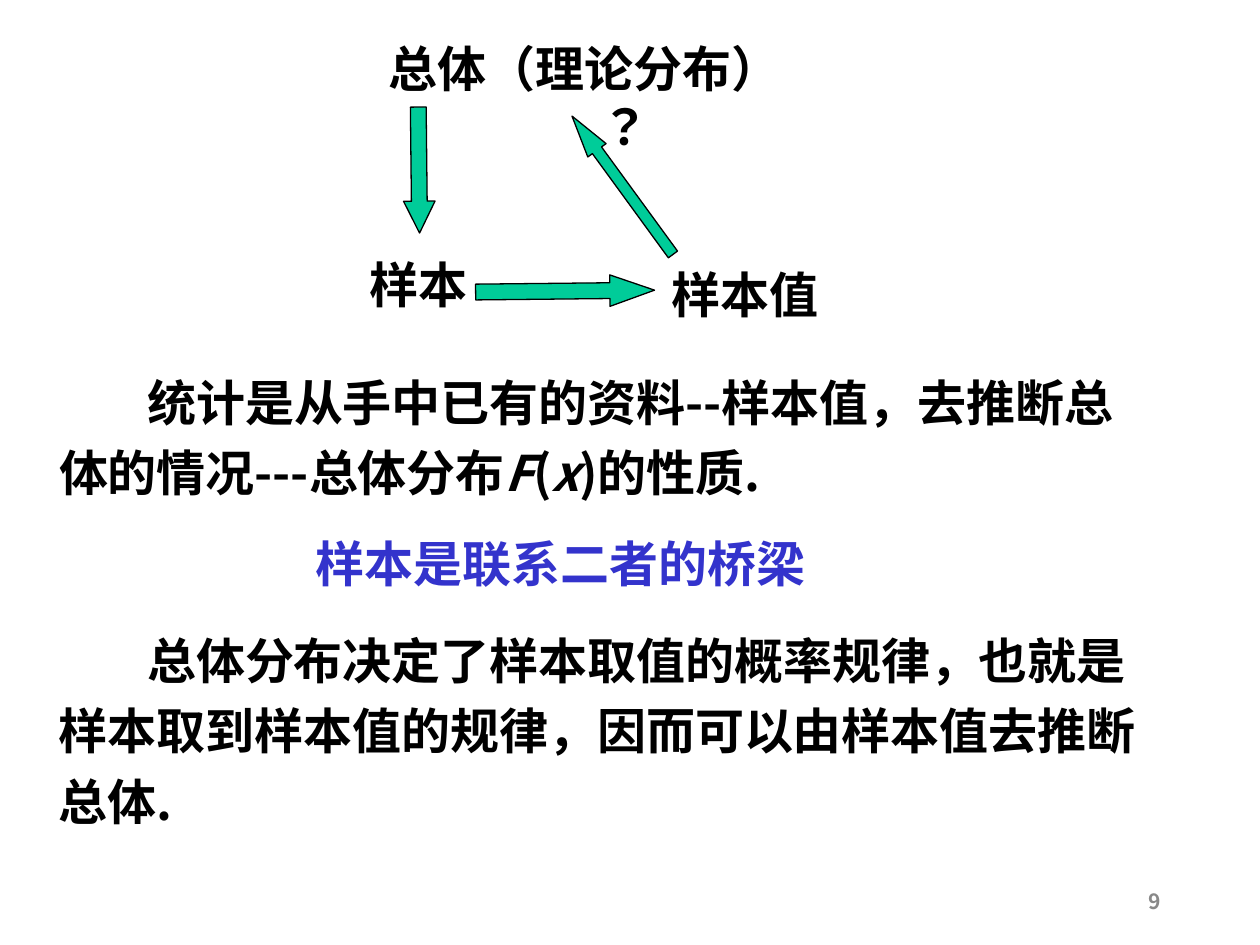
import pptx
import pptx.util
import pptx.dml.color
import pptx.enum.shapes
import pptx.enum.text
import pptx.oxml.ns
import lxml.etree

BLACK = pptx.dml.color.RGBColor(0x00, 0x00, 0x00)
GREEN = pptx.dml.color.RGBColor(0x00, 0xCC, 0x99)
BLUE = pptx.dml.color.RGBColor(0x33, 0x33, 0xCC)
GRAY = pptx.dml.color.RGBColor(0x89, 0x89, 0x89)
SANS = "Noto Sans CJK JP"
SERIF = "Times New Roman"
ALIGN = pptx.enum.text.PP_ALIGN
COLUMNS, ROWS = 100, 75


def assign(target, values):
    for name, value in values.items():
        setattr(target, name, value)


class SlideBuilder:
    def __init__(self, deck):
        self.deck = deck
        self.page = deck.slides.add_slide(deck.slide_layouts[6])
        self.font = {"size": pptx.util.Pt(28), "bold": True, "name": SANS}

    def place(self, left, top, width, height):
        column = self.deck.slide_width / COLUMNS
        row = self.deck.slide_height / ROWS
        return [round(share) for share in
                (left * column, top * row, width * column, height * row)]

    def text(self, grid, paragraphs, color=BLACK, align=ALIGN.CENTER,
             wrap=False, spacing=1.0, indents=None, **font):
        box = self.page.shapes.add_textbox(*self.place(*grid))
        frame = box.text_frame
        assign(frame, {"word_wrap": wrap,
                       "vertical_anchor": pptx.enum.text.MSO_ANCHOR.MIDDLE})
        for index, pieces in enumerate(paragraphs):
            para = frame.paragraphs[0] if index == 0 else frame.add_paragraph()
            assign(para, {"alignment": align, "line_spacing": spacing})
            for name, length in (indents or {}).get(index, {}).items():
                para._p.get_or_add_pPr().set(name, str(pptx.util.Inches(length)))
            for words, italic in pieces:
                self.span(para, words, color, {**self.font, **font, "italic": italic})

    def span(self, para, words, color, font):
        span = para.add_run()
        span.text = words
        assign(span.font, font)
        span.font.color.rgb = color
        east = lxml.etree.SubElement(span._r.get_or_add_rPr(), pptx.oxml.ns.qn("a:ea"))
        east.set("typeface", SANS)

    def arrow(self, grid, rotation, head):
        arrow = self.page.shapes.add_shape(
            pptx.enum.shapes.MSO_SHAPE.DOWN_ARROW, *self.place(*grid))
        arrow.rotation = rotation
        arrow.adjustments[1] = head
        arrow.shadow.inherit = False
        arrow.fill.solid()
        arrow.fill.fore_color.rgb = GREEN
        arrow.line.color.rgb = BLACK
        arrow.line.width = pptx.util.Pt(0.75)


def main():
    deck = pptx.Presentation()
    assign(deck, {"slide_width": pptx.util.Inches(10),
                  "slide_height": pptx.util.Inches(7.5)})
    slide = SlideBuilder(deck)

    slide.text((28.4, 2.5, 36, 10.4),
               [[("总体（理论分布）", False)], [("？", False)]],
               name=SERIF, indents={1: {"marL": 0.64}})
    slide.text((27.2, 19.7, 12, 5.7), [[("样本", False)]], name=SERIF)
    slide.text((51.1, 20.5, 16, 5.7), [[("样本值", False)]], name=SERIF)

    slide.arrow((43.6, 16, 2.5, 14.2), 269.4, 1.42)
    slide.arrow((32, 8.5, 2.5, 10), 359.4, 1.01)
    slide.arrow((48.5, 7.9, 1.8, 13.6), 143.9, 1.87)

    body = {"align": ALIGN.LEFT, "wrap": True, "spacing": 1.2,
            "indents": {0: {"indent": 0.7}}}
    slide.text((3.7, 28.1, 87.2, 12.2), [[
        ("统计是从手中已有的资料--样本值，去推断总体的情况---总体分布", False),
        ("F", True), ("(", False), ("x", True), (")的性质.", False)]], **body)
    slide.text((3.7, 48.6, 90, 17.8), [[
        ("总体分布决定了样本取值的概率规律，也就是样本取到样本值的规律，"
         "因而可以由样本值去推断总体.", False)]], **body)
    slide.text((23.5, 41.8, 42, 5.7), [[("样本是联系二者的桥梁", False)]], color=BLUE)
    slide.text((70.6, 69.5, 22.5, 4), [[("9", False)]], color=GRAY,
               align=ALIGN.RIGHT, wrap=True, size=pptx.util.Pt(12))

    deck.save("out.pptx")


if __name__ == "__main__":
    main()
